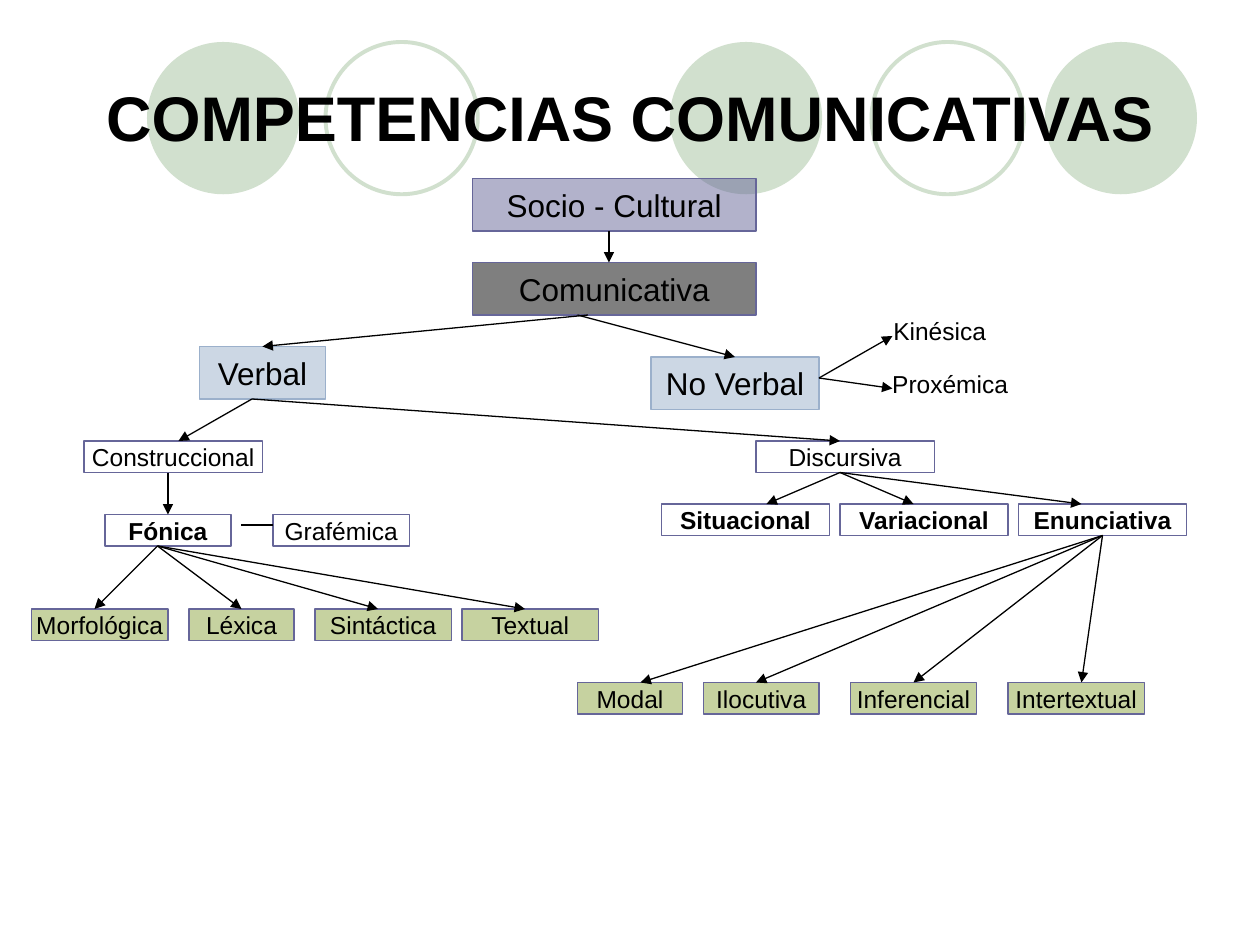
"""Build the concept map of communicative competences."""
from dataclasses import dataclass

from lxml import etree
from pptx import Presentation
from pptx.dml.color import RGBColor
from pptx.enum.shapes import MSO_CONNECTOR, MSO_SHAPE
from pptx.enum.text import MSO_ANCHOR, PP_ALIGN
from pptx.oxml.ns import qn
from pptx.util import Pt

RECT, OVAL = MSO_SHAPE.RECTANGLE, MSO_SHAPE.OVAL
STRAIGHT = MSO_CONNECTOR.STRAIGHT
MIDDLE, CENTER = MSO_ANCHOR.MIDDLE, PP_ALIGN.CENTER
PX = 914400 // 120
Point = tuple[int, int]


@dataclass(frozen=True)
class Theme:
    font: str = "Arial"
    ink: str = "000000"
    circle: str = "D1E0CE"
    violet: str = "666699"
    blue: str = "9BB0CB"
    green: str = "8EA642"
    alpha: int = 50
    title: int = 36
    large: int = 18
    small: int = 14
    thin: float = 0.75
    ring: float = 2.25


THEME = Theme()


@dataclass(frozen=True)
class Circle:
    x: int
    y: int
    solid: bool
    size: int = 145


@dataclass(frozen=True)
class Box:
    text: str
    x: int
    y: int
    w: int
    h: int = 30
    fill: str | None = None
    line: str | None = THEME.violet
    size: int = THEME.small
    bold: bool = False
    wrap: bool = False
    inset: int = 12


@dataclass(frozen=True)
class Fan:
    start: Point
    ends: tuple[Point, ...]
    arrow: bool = True


CIRCLES = (
    Circle(638, 40, True), Circle(995, 40, True), Circle(140, 40, True),
    Circle(830, 40, False), Circle(310, 40, False),
)
TITLE = Box("COMPETENCIAS COMUNICATIVAS", 60, 36, 1080, 150,
            line=None, size=THEME.title, bold=True, wrap=True)
LEVELS = (
    Box("Socio - Cultural", 450, 170, 270, 50, THEME.violet, size=THEME.large),
    Box("Comunicativa", 450, 250, 270, 50, THEME.ink, size=THEME.large),
    Box("No Verbal", 620, 340, 160, 50, THEME.blue, THEME.blue, THEME.large),
    Box("Verbal", 190, 330, 120, 50, THEME.blue, THEME.blue, THEME.large),
)
LABELS = (
    Box("Kinésica", 830, 300, 130, line=None, inset=0),
    Box("Proxémica", 840, 350, 130, line=None, inset=0),
)
BRANCHES = (
    Box("Construccional", 80, 420, 170),
    Box("Discursiva", 720, 420, 170),
    Box("Fónica", 100, 490, 120, bold=True),
    Box("Grafémica", 260, 490, 130),
)
DISCURSIVE = tuple(
    Box(text, 630 + 170 * i, 480, 160, bold=True)
    for i, text in enumerate(("Situacional", "Variacional", "Enunciativa"))
)
LEAVES = tuple(
    Box(text, x, y, w, fill=THEME.green)
    for y, row in (
        (580, (("Morfológica", 30, 130), ("Léxica", 180, 100),
               ("Sintáctica", 300, 130), ("Textual", 440, 130))),
        (650, (("Modal", 550, 100), ("Ilocutiva", 670, 110),
               ("Inferencial", 810, 120), ("Intertextual", 960, 130))),
    )
    for text, x, w in row
)
FANS = (
    Fan((580, 220), ((580, 250),)),
    Fan((560, 300), ((250, 330),)),
    Fan((550, 300), ((700, 340),)),
    Fan((240, 380), ((170, 420), (800, 420))),
    Fan((160, 450), ((160, 490),)),
    Fan((150, 520), ((90, 580), (230, 580), (360, 580), (500, 580))),
    Fan((230, 500), ((260, 500),), arrow=False),
    Fan((800, 450), ((730, 480), (870, 480), (1030, 480))),
    Fan((780, 360), ((850, 320), (850, 370))),
    Fan((1050, 510), ((610, 650), (720, 650), (870, 650), (1030, 650))),
)


def rgb(color: str) -> RGBColor:
    return RGBColor.from_string(color)


def paint(sp, fill: str | None, line: str | None, width: float) -> None:
    sp.shadow.inherit = False
    if fill:
        sp.fill.solid()
        sp.fill.fore_color.rgb = rgb(fill)
    else:
        sp.fill.background()
    if line:
        sp.line.color.rgb = rgb(line)
        sp.line.width = Pt(width)
    else:
        sp.line.fill.background()


def fade(sp) -> None:
    color = sp._element.spPr.find(qn("a:solidFill"))[0]
    etree.SubElement(color, qn("a:alpha"), val=str(THEME.alpha * 1000))


def draw_circle(shapes, c: Circle) -> None:
    sp = shapes.add_shape(OVAL, c.x * PX, c.y * PX, c.size * PX, c.size * PX)
    fill, line = (THEME.circle, None) if c.solid else (None, THEME.circle)
    paint(sp, fill, line, THEME.ring)


def draw_box(shapes, box: Box):
    frame = [v * PX for v in (box.x, box.y, box.w, box.h)]
    if box.line:
        sp = shapes.add_shape(RECT, *frame)
        paint(sp, box.fill, box.line, THEME.thin)
        if box.fill:
            fade(sp)
    else:
        sp = shapes.add_textbox(*frame)
    tf = sp.text_frame
    tf.text = box.text
    tf.word_wrap = box.wrap
    tf.vertical_anchor = MIDDLE
    tf.margin_left = tf.margin_right = box.inset * PX
    p = tf.paragraphs[0]
    p.alignment = CENTER
    font = p.runs[0].font
    font.name, font.size, font.bold = THEME.font, Pt(box.size), box.bold
    font.color.rgb = rgb(THEME.ink)
    return sp


def side_middles(box: Box) -> tuple[Point, ...]:
    cx, cy = box.x + box.w // 2, box.y + box.h // 2
    return (cx, box.y), (box.x, cy), (cx, box.y + box.h), (box.x + box.w, cy)


def draw_fan(shapes, fan: Fan, sites: dict) -> None:
    for end in fan.ends:
        sp = shapes.add_connector(STRAIGHT, *(v * PX for v in fan.start + end))
        if fan.start in sites:
            sp.begin_connect(*sites[fan.start])
        if end in sites:
            sp.end_connect(*sites[end])
        sp.line.color.rgb = rgb(THEME.ink)
        sp.line.width = Pt(THEME.thin)
        if fan.arrow:
            ln = sp.line._get_or_add_ln()
            etree.SubElement(ln, qn("a:tailEnd"), type="triangle")
        etree.SubElement(sp._element.spPr, qn("a:effectLst"))


def main() -> None:
    prs = Presentation()
    prs.slide_width, prs.slide_height = 1200 * PX, 900 * PX
    s = prs.slides.add_slide(prs.slide_layouts[6])
    for circle in CIRCLES:
        draw_circle(s.shapes, circle)
    for label in (TITLE, *LABELS):
        draw_box(s.shapes, label)
    sites = {}
    for box in LEVELS + BRANCHES + DISCURSIVE + LEAVES:
        sp = draw_box(s.shapes, box)
        sites.update({pt: (sp, i) for i, pt in enumerate(side_middles(box))})
    for fan in FANS:
        draw_fan(s.shapes, fan, sites)
    prs.save("out.pptx")


if __name__ == "__main__":
    main()
